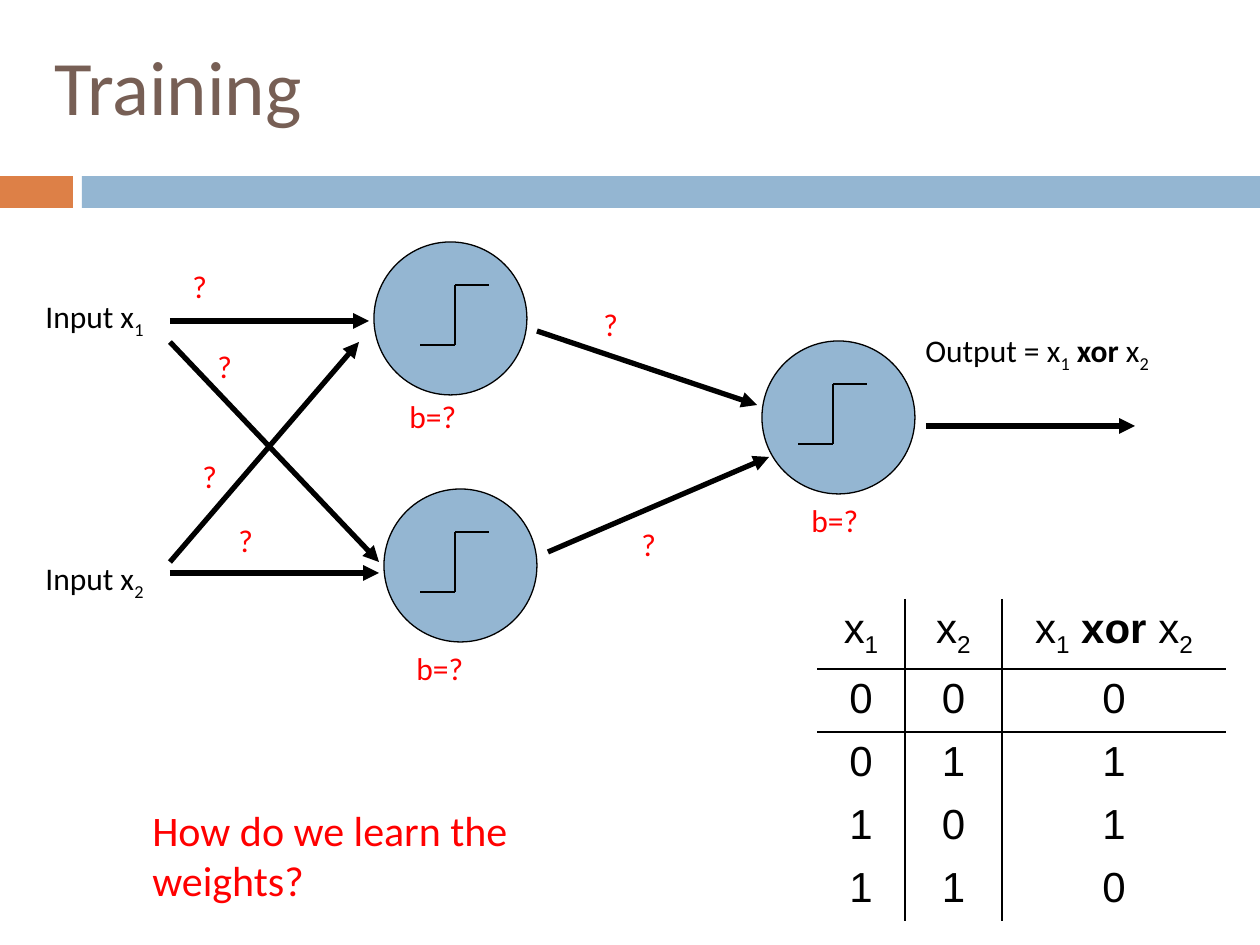
from lxml import etree
from pptx import Presentation
from pptx.dml.color import RGBColor
from pptx.enum.shapes import MSO_CONNECTOR, MSO_SHAPE
from pptx.enum.text import MSO_ANCHOR, PP_ALIGN
from pptx.oxml import parse_xml
from pptx.oxml.ns import qn
from pptx.util import Emu, Pt

STRAIGHT = MSO_CONNECTOR.STRAIGHT
RECTANGLE, OVAL = MSO_SHAPE.RECTANGLE, MSO_SHAPE.OVAL
MIDDLE, CENTER = MSO_ANCHOR.MIDDLE, PP_ALIGN.CENTER

BLACK = RGBColor(0x00, 0x00, 0x00)
RED = RGBColor(0xFF, 0x00, 0x00)
BLUE = RGBColor(0x94, 0xB6, 0xD2)
ORANGE = RGBColor(0xDD, 0x80, 0x47)
BROWN = RGBColor(0x77, 0x5F, 0x55)

PX = 914400 / 126
DRAWING_NS = "http://schemas.openxmlformats.org/drawingml/2006/main"
PLAIN_TABLE_STYLE = "{2D5ABB26-0587-4C30-8999-92F81FD0307C}"
BORDER_XML = (
    '<a:{side} xmlns:a="{ns}" w="12700"><a:solidFill>'
    '<a:srgbClr val="000000"/></a:solidFill></a:{side}>'
)


def write(frame, spans, size, color, font="Calibri"):
    """Fill the first paragraph with (text, style) spans; style is "", "sub" or "bold"."""
    paragraph = frame.paragraphs[0]
    for text, style in spans:
        span = paragraph.add_run()
        span.text = text
        span.font.name = font
        span.font.size = Pt(size)
        span.font.color.rgb = color
        span.font.bold = style == "bold"
        if style == "sub":
            span._r.get_or_add_rPr().set("baseline", "-25000")
    return paragraph


def draw_line(start, end, width, arrow=False):
    points = [Emu(round(value * PX)) for value in (*start, *end)]
    line = page.shapes.add_connector(STRAIGHT, *points)
    line.line.color.rgb = BLACK
    line.line.width = Pt(width)
    if arrow:
        outline = line.line._get_or_add_ln()
        etree.SubElement(outline, qn("a:tailEnd"), type="triangle")
    etree.SubElement(line._element.spPr, qn("a:effectLst"))


deck = Presentation()
deck.slide_width = Emu(round(1260 * PX))
deck.slide_height = Emu(round(945 * PX))
page = deck.slides.add_slide(deck.slide_layouts[6])

# Header bars and neurons: kind, left, top, width, height, fill
neuron_spots = [(374, 242), (384, 489), (762, 341)]
shapes = [
    (RECTANGLE, 0, 176, 73, 32, ORANGE),
    (RECTANGLE, 82, 176, 1178, 32, BLUE),
]
shapes += [(OVAL, left, top, 153, 153, BLUE) for left, top in neuron_spots]
for kind, *place, fill in shapes:
    shape = page.shapes.add_shape(kind, *[Emu(round(value * PX)) for value in place])
    shape.shadow.inherit = False
    shape.fill.solid()
    shape.fill.fore_color.rgb = fill
    if kind == OVAL:
        shape.line.color.rgb = BLACK
        shape.line.width = Pt(0.75)
    else:
        shape.line.fill.background()

# Step function inside each neuron
for left, top in [(420, 285), (420, 532), (798, 384)]:
    middle, right, bottom = left + 35, left + 69, top + 60
    corners = [(right, top), (middle, top), (middle, bottom), (left, bottom)]
    for start, end in zip(corners, corners[1:]):
        draw_line(start, end, 1.5)

# Connections between inputs, neurons and output
for start, end in [
    ((170, 321), (369, 321)),
    ((170, 342), (379, 562)),
    ((170, 573), (379, 573)),
    ((170, 562), (359, 342)),
    ((537, 331), (757, 405)),
    ((548, 552), (769, 457)),
    ((926, 426), (1135, 426)),
]:
    draw_line(start, end, 3, arrow=True)

# Labels: left, top, width, height, wrap, size, colour, spans
x1 = [("x", ""), ("1", "sub")]
x2 = [("x", ""), ("2", "sub")]
xor = x1 + [(" xor ", "bold")] + x2
labels = [
    (33, 291, 158, 50, True, 18, BLACK, [("Input x", ""), ("1", "sub")]),
    (33, 553, 158, 50, True, 18, BLACK, [("Input x", ""), ("2", "sub")]),
    (913, 325, 277, 50, False, 18, BLACK, [("Output = ", "")] + xor),
    (140, 798, 532, 113, True, 24, RED, [("How do we learn the weights?", "")]),
]
for left, top in [(397, 391), (404, 643), (799, 495)]:
    labels.append((left, top, 77, 50, False, 18, RED, [("b=?", "")]))
for left, top in [(180, 261), (205, 341), (190, 451), (226, 515), (591, 299), (629, 519)]:
    labels.append((left, top, 40, 50, True, 18, RED, [("?", "")]))
labels.append((42, -10, 1134, 189, True, 44, BROWN, [("Training", "")]))
for *place, wrap, size, color, spans in labels:
    box = page.shapes.add_textbox(*[Emu(round(value * PX)) for value in place])
    box.text_frame.word_wrap = wrap
    if size == 44:
        box.text_frame.vertical_anchor = MIDDLE
    write(box.text_frame, spans, size, color)

# Truth table
rows = [[x1, x2, xor]]
for a in (0, 1):
    for b in (0, 1):
        rows.append([[(str(value), "")] for value in (a, b, a ^ b)])
column_widths = [88, 97, 224]
row_heights = [69] + [63] * 4
place = (817, 599, sum(column_widths), sum(row_heights))
table = page.shapes.add_table(5, 3, *[Emu(round(value * PX)) for value in place]).table
table.first_row = False
table.horz_banding = False
table._tbl.tblPr.find(qn("a:tableStyleId")).text = PLAIN_TABLE_STYLE
for column, width in zip(table.columns, column_widths):
    column.width = Emu(round(width * PX))
for row, height in zip(table.rows, row_heights):
    row.height = Emu(round(height * PX))
for r, row in enumerate(rows):
    for c, spans in enumerate(row):
        cell = table.cell(r, c)
        write(cell.text_frame, spans, 24, BLACK, "Arial").alignment = CENTER
        borders = {"lnL": c > 0, "lnR": c < 2, "lnT": r == 1, "lnB": r == 0}
        properties = cell._tc.get_or_add_tcPr()
        for side, visible in borders.items():
            if visible:
                properties.append(parse_xml(BORDER_XML.format(side=side, ns=DRAWING_NS)))
        cell.fill.background()

deck.save("out.pptx")
